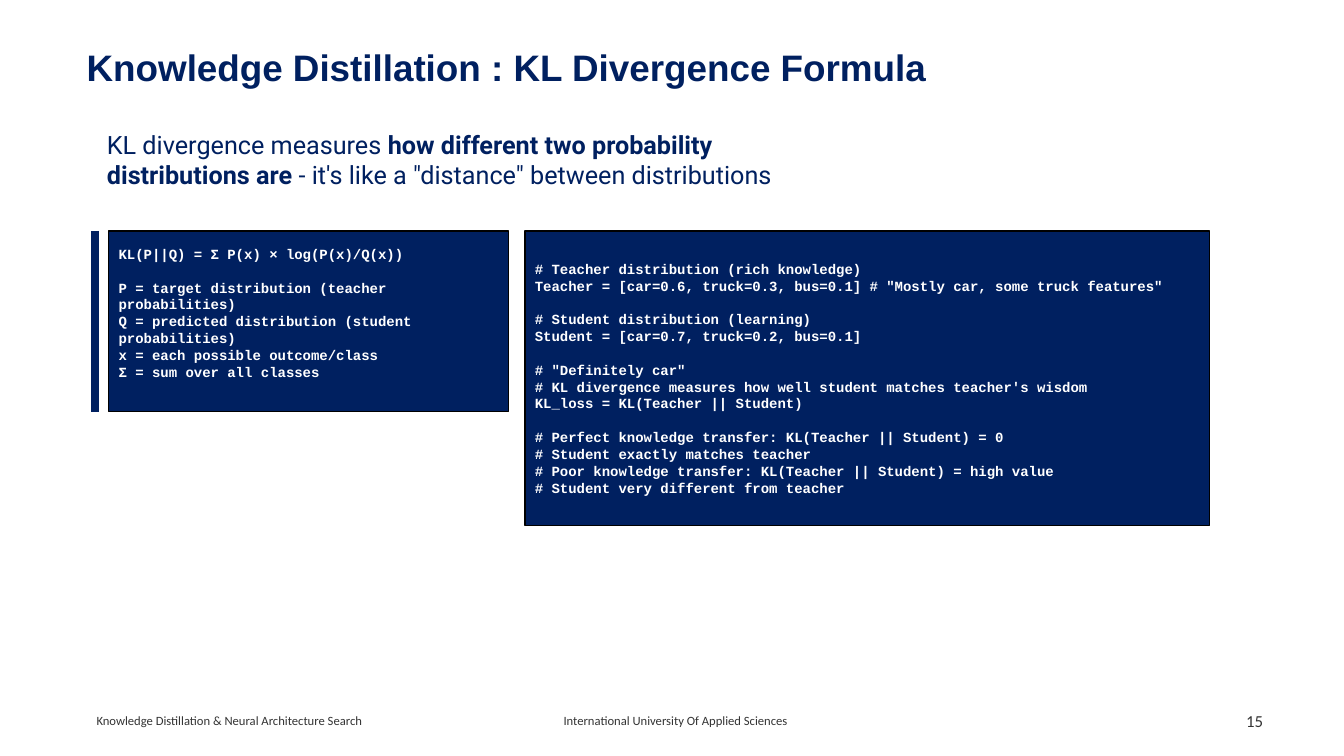
from lxml import etree
from pptx import Presentation
from pptx.dml.color import RGBColor
from pptx.enum.shapes import MSO_CONNECTOR, MSO_SHAPE
from pptx.enum.text import MSO_ANCHOR, MSO_AUTO_SIZE, PP_ALIGN
from pptx.oxml.ns import qn
from pptx.util import Cm, Pt

STRAIGHT = MSO_CONNECTOR.STRAIGHT
RECTANGLE = MSO_SHAPE.RECTANGLE
TOP, MIDDLE = MSO_ANCHOR.TOP, MSO_ANCHOR.MIDDLE
LEFT, RIGHT = PP_ALIGN.LEFT, PP_ALIGN.RIGHT

NAVY, BLACK, WHITE = "002060", "000000", "FFFFFF"
CODE_SIZE = 10
CODE_LINE = Pt(12)
PANEL_TOP = 5.82

# Each inner list is a group of code lines; groups are set apart by one line
FORMULA = [
    ["KL(P||Q) = Σ P(x) × log(P(x)/Q(x))"],
    ["P = target distribution (teacher probabilities)",
     "Q = predicted distribution (student probabilities)",
     "x = each possible outcome/class",
     "Σ = sum over all classes"],
]
EXAMPLE = [
    ["# Teacher distribution (rich knowledge)",
     'Teacher = [car=0.6, truck=0.3, bus=0.1] # "Mostly car, some truck features"'],
    ["# Student distribution (learning)",
     "Student = [car=0.7, truck=0.2, bus=0.1]"],
    ['# "Definitely car"',
     "# KL divergence measures how well student matches teacher's wisdom",
     "KL_loss = KL(Teacher || Student)"],
    ["# Perfect knowledge transfer: KL(Teacher || Student) = 0",
     "# Student exactly matches teacher",
     "# Poor knowledge transfer: KL(Teacher || Student) = high value",
     "# Student very different from teacher"],
]
STATEMENT = [
    ("KL divergence measures ", False),
    ("how different two probability distributions are", True),
    (' - it\'s like a "distance" between distributions', False),
]


def paint(color_format, value):
    color_format.rgb = RGBColor.from_string(value)


def style(span, name, size, color, bold=False):
    span.font.name = name
    span.font.size = Pt(size)
    span.font.bold = bold
    paint(span.font.color, color)


def place(shape, box):
    shape.left, shape.top, shape.width, shape.height = (Cm(n) for n in box)


def add_title(page, box, text):
    title = page.shapes.title
    place(title, box)
    frame = title.text_frame
    frame.text = text
    frame.auto_size = MSO_AUTO_SIZE.NONE
    frame.vertical_anchor = MIDDLE
    para = frame.paragraphs[0]
    para.alignment = LEFT
    para.line_spacing = 0.9
    style(para.runs[0], "Arial", 26.3, NAVY, True)


def add_statement(page, box):
    body = page.placeholders[1]
    place(body, box)
    frame = body.text_frame
    frame.auto_size = MSO_AUTO_SIZE.SHAPE_TO_FIT_TEXT
    frame.vertical_anchor = TOP
    para = frame.paragraphs[0]
    # No bullet and no hanging indent
    properties = para._p.get_or_add_pPr()
    properties.set("marL", "0")
    properties.set("indent", "0")
    etree.SubElement(properties, qn("a:buNone"))
    para.space_before = Pt(0)
    for text, bold in STATEMENT:
        span = para.add_run()
        span.text = text
        style(span, "Roboto", 18, NAVY, bold)


def add_code_panel(page, box, groups):
    panel = page.shapes.add_shape(RECTANGLE, *(Cm(n) for n in box))
    panel.shadow.inherit = False
    panel.fill.solid()
    paint(panel.fill.fore_color, NAVY)
    paint(panel.line.color, BLACK)
    panel.line.width = Pt(1)
    frame = panel.text_frame
    frame.word_wrap = True
    frame.vertical_anchor = MIDDLE
    lines = [line for group in groups for line in group]
    group_starts = [group[0] for group in groups[1:]]
    frame.text = "\n".join(lines)
    for para in frame.paragraphs:
        para.alignment = LEFT
        if para.text in group_starts:
            para.space_before = CODE_LINE
        style(para.runs[0], "Courier New", CODE_SIZE, WHITE, True)
    return frame


def add_formula(page, box):
    frame = add_code_panel(page, box, FORMULA)
    frame.margin_bottom += CODE_LINE
    # Accent bar beside the panel
    left, top, _, height = box
    x = Cm(left - 0.35)
    bar = page.shapes.add_connector(STRAIGHT, x, Cm(top), x, Cm(top + height))
    paint(bar.line.color, NAVY)
    bar.line.width = Pt(5.75)
    etree.SubElement(bar._element.spPr, qn("a:effectLst"))


def add_footer(page, box, text, size, space_after):
    frame = page.shapes.add_textbox(*(Cm(n) for n in box)).text_frame
    frame.text = text
    frame.word_wrap = True
    frame.vertical_anchor = MIDDLE
    para = frame.paragraphs[0]
    para.alignment = RIGHT
    para.space_after = Pt(space_after)
    style(para.runs[0], "Calibri", size, BLACK)
    # Slightly transparent black
    color = para.runs[0]._r.rPr.find(qn("a:solidFill"))[0]
    etree.SubElement(color, qn("a:alpha")).set("val", "80000")


def main():
    deck = Presentation()
    deck.slide_width, deck.slide_height = Cm(33.87), Cm(19.05)
    page = deck.slides.add_slide(deck.slide_layouts[1])

    # Heading and statement
    add_title(page, (1.93, 0.86, 29.21, 1.78),
              "Knowledge Distillation : KL Divergence Formula")
    add_statement(page, (2.44, 3.12, 19.28, 1.8))

    # Formula and worked example
    add_formula(page, (2.74, PANEL_TOP, 10.08, 4.55))
    add_code_panel(page, (13.23, PANEL_TOP, 17.25, 7.42), EXAMPLE)

    # Footer row
    for left, width, text, size, space_after in (
        (0.81, 8.56, "Knowledge Distillation & Neural Architecture Search", 9, 5),
        (2.84, 17.25, "International University Of Applied Sciences", 9, 5),
        (30.66, 1.42, "15", 12, 6),
    ):
        add_footer(page, (left, 17.65, width, 1.02), text, size, space_after)

    deck.save("out.pptx")


if __name__ == "__main__":
    main()
